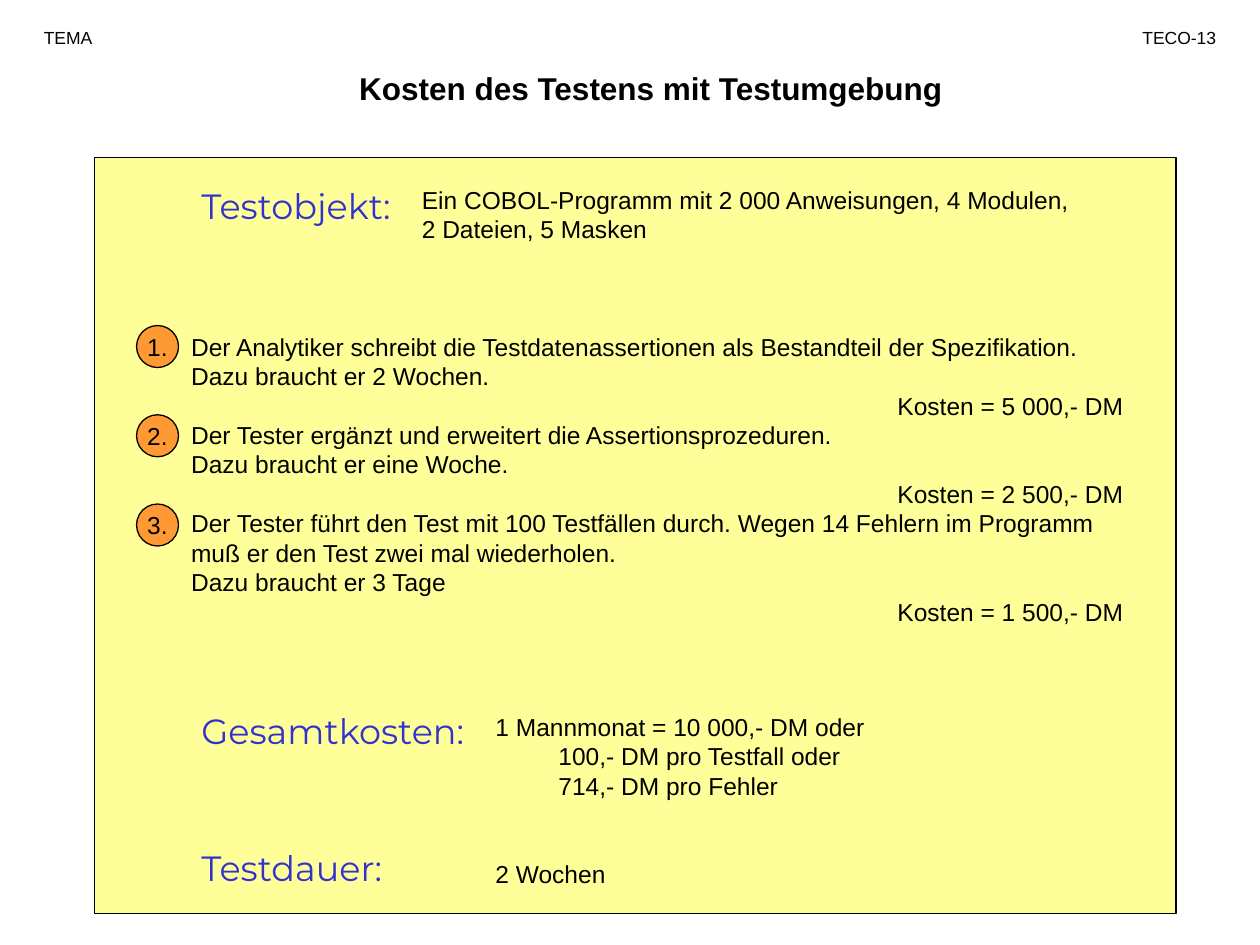
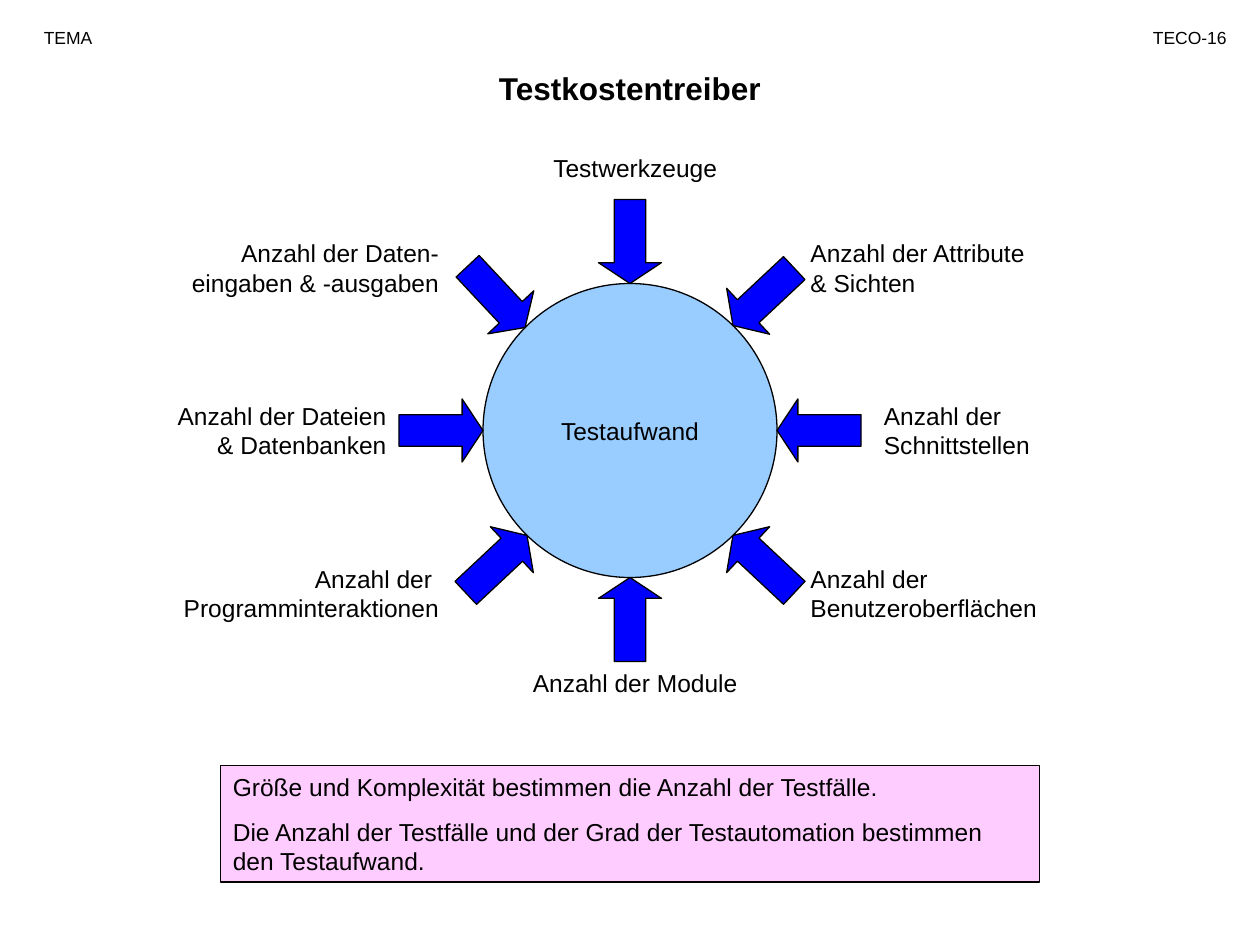
from math import cos, radians, sin

from lxml import etree
from pptx import Presentation
from pptx.dml.color import RGBColor
from pptx.enum import shapes, text
from pptx.oxml import ns
from pptx import util as u

BLACK = RGBColor(0, 0, 0)
LABEL_BLUE = RGBColor(0x33, 0x33, 0xCC)
ARROW_BLUE = RGBColor(0, 0, 0xFF)
SKY = RGBColor(0x99, 0xCC, 0xFF)
YELLOW = RGBColor(0xFF, 0xFF, 0x99)
ORANGE = RGBColor(0xFF, 0x99, 0x33)
PINK = RGBColor(0xFF, 0xCC, 0xFF)

WIDTH, HEIGHT = u.Inches(10), u.Inches(7.5)
COLUMNS, ROWS = 120, 90
TITLE_ONLY, TITLE_AND_BODY = 5, 1
LEFT, CENTER, RIGHT = text.PP_ALIGN.LEFT, text.PP_ALIGN.CENTER, text.PP_ALIGN.RIGHT
TOP, MIDDLE = text.MSO_ANCHOR.TOP, text.MSO_ANCHOR.MIDDLE

STEPS = [
    (["Der Analytiker schreibt die Testdatenassertionen als Bestandteil der Spezifikation.",
      "Dazu braucht er 2 Wochen."], "Kosten = 5 000,- DM"),
    (["Der Tester ergänzt und erweitert die Assertionsprozeduren.",
      "Dazu braucht er eine Woche."], "Kosten = 2 500,- DM"),
    (["Der Tester führt den Test mit 100 Testfällen durch. Wegen 14 Fehlern im Programm",
      "muß er den Test zwei mal wiederholen.",
      "Dazu braucht er 3 Tage"], "Kosten = 1 500,- DM"),
]

# Clockwise from the top: arrow tilt in degrees, label lines, label box, alignment
DRIVERS = [
    (0, ["Testwerkzeuge"], (47, 14, 27, 4), CENTER),
    (1.9, ["Anzahl der Attribute", "& Sichten"], (76, 22, 27, 7), LEFT),
    (0, ["Anzahl der", "Schnittstellen"], (83, 37.5, 27, 7), LEFT),
    (-1.9, ["Anzahl der", "Benutzeroberflächen"], (76, 53, 27, 7), LEFT),
    (0, ["Anzahl der Module"], (47, 63, 27, 4), CENTER),
    (1.9, ["Anzahl der ", "Programminteraktionen"], (16, 53, 27, 7), RIGHT),
    (0, ["Anzahl der Dateien", "& Datenbanken"], (7, 37.5, 31, 7), RIGHT),
    (1.9, ["Anzahl der Daten-", "eingaben & -ausgaben"], (16, 22, 27, 7), RIGHT),
]


def grid(left, top, width, height):
    """Turn columns and rows into lengths."""
    col, row = WIDTH / COLUMNS, HEIGHT / ROWS
    return [u.Emu(round(n)) for n in (left * col, top * row, width * col, height * row)]


def place(sp, box):
    sp.left, sp.top, sp.width, sp.height = grid(*box)


def prepare_frame(sp, anchor=TOP, wrap=True):
    tf = sp.text_frame
    tf.auto_size = text.MSO_AUTO_SIZE.NONE
    tf.word_wrap = wrap
    tf.vertical_anchor = anchor
    return tf


def add_paragraph(tf, lines, size=14, align=LEFT, before=0, font="Arial",
                  color=BLACK, bold=False, tab=None):
    p = tf.paragraphs[0]
    if p.runs:
        p = tf.add_paragraph()
    pPr = p._p.get_or_add_pPr()
    pPr.set("marL", "0")
    pPr.set("indent", "0")
    etree.SubElement(pPr, ns.qn("a:buNone"))
    if tab:
        tabs = etree.SubElement(pPr, ns.qn("a:tabLst"))
        etree.SubElement(tabs, ns.qn("a:tab"), pos=str(tab), algn="l")
    p.alignment = align
    p.space_before = u.Pt(before)
    for i, line in enumerate(lines):
        if i:
            p.add_line_break()
        r = p.add_run()
        r.text = line
        r.font.size, r.font.name, r.font.bold = u.Pt(size), font, bold
        r.font.color.rgb = color


def add_text(slide, box, lines, anchor=TOP, wrap=True, **style):
    sp = slide.shapes.add_textbox(*grid(*box))
    tf = prepare_frame(sp, anchor, wrap)
    add_paragraph(tf, lines, **style)
    return tf


def add_figure(slide, kind, box, fill):
    sp = slide.shapes.add_shape(kind, *grid(*box))
    sp.shadow.inherit = False
    sp.fill.solid()
    sp.fill.fore_color.rgb = fill
    sp.line.color.rgb = BLACK
    sp.line.width = u.Pt(0.75)
    return sp


def add_disc(slide, box, fill, caption):
    sp = add_figure(slide, shapes.MSO_SHAPE.OVAL, box, fill)
    add_paragraph(prepare_frame(sp, MIDDLE, wrap=False), [caption], align=CENTER)


def add_heading(slide, top, caption):
    add_text(slide, (18, top, 30, 4.5), [caption], wrap=False, size=20,
             font="Montserrat", color=LABEL_BLUE)


def add_page(prs, layout, title, title_box, number, number_left):
    slide = prs.slides.add_slide(prs.slide_layouts[layout])
    place(slide.shapes.title, title_box)
    add_paragraph(prepare_frame(slide.shapes.title), [title], size=18, align=CENTER, bold=True)
    add_text(slide, (3, 2, 11, 3.25), ["TEMA"], size=10)
    add_text(slide, (number_left, 2, 13, 3.25), [number], size=10, align=RIGHT)
    return slide


def build_costs(prs):
    slide = add_page(prs, TITLE_AND_BODY, "Kosten des Testens mit Testumgebung",
                     (26, 6, 72, 4.75), "TECO-13", 104)
    panel = add_figure(slide, shapes.MSO_SHAPE.RECTANGLE, (9, 15, 103, 72), YELLOW)
    slide.shapes._spTree.insert(2, panel._element)

    body = slide.placeholders[1]
    place(body, (17, 31, 91.2, 32))
    tf = prepare_frame(body)
    for i, (lines, cost) in enumerate(STEPS):
        add_paragraph(tf, lines)
        add_paragraph(tf, [cost], align=RIGHT)
        add_disc(slide, (13, 31 + 8.5 * i, 4, 4), ORANGE, f"{i + 1}.")

    add_heading(slide, 17, "Testobjekt:")
    add_text(slide, (39, 17, 66, 7),
             ["Ein COBOL-Programm mit 2 000 Anweisungen, 4 Modulen,", "2 Dateien, 5 Masken"])
    add_heading(slide, 67, "Gesamtkosten:")
    tf = add_text(slide, (46, 67.2, 57, 18), [
        "1 Mannmonat = 10 000,- DM oder",
        "\t100,- DM pro Testfall oder",
        "\t714,- DM pro Fehler"], tab=grid(20.1, 0, 0, 0)[0])
    add_heading(slide, 80, "Testdauer:")
    add_paragraph(tf, ["2 Wochen"], before=33.5)


def build_drivers(prs):
    slide = add_page(prs, TITLE_ONLY, "Testkostentreiber", (11, 6, 98, 4.75), "TECO-16", 105)
    mid_x, mid_y, radius = 60, 41, 14
    arrow_w, arrow_h = 6, 8
    add_disc(slide, (mid_x - radius, mid_y - radius, 2 * radius, 2 * radius), SKY, "Testaufwand")
    reach = radius + arrow_h / 2
    for i, (tilt, lines, box, align) in enumerate(DRIVERS):
        angle = i * 360 / len(DRIVERS)
        x = mid_x + reach * sin(radians(angle))
        y = mid_y - reach * cos(radians(angle))
        arrow = add_figure(slide, shapes.MSO_SHAPE.DOWN_ARROW,
                           (x - arrow_w / 2, y - arrow_h / 2, arrow_w, arrow_h), ARROW_BLUE)
        arrow.adjustments[0], arrow.adjustments[1] = 0.5, 0.33
        arrow.rotation = angle + tilt
        add_text(slide, box, lines, anchor=MIDDLE, align=align)

    note = add_figure(slide, shapes.MSO_SHAPE.RECTANGLE, (21, 72.9, 78, 11.1), PINK)
    tf = prepare_frame(note, MIDDLE)
    add_paragraph(tf, ["Größe und Komplexität bestimmen die Anzahl der Testfälle."])
    add_paragraph(tf, ["Die Anzahl der Testfälle und der Grad der Testautomation bestimmen "
                       "den Testaufwand."], before=8.8)


def main():
    prs = Presentation()
    prs.slide_width, prs.slide_height = WIDTH, HEIGHT
    build_costs(prs)
    build_drivers(prs)
    prs.save("out.pptx")


if __name__ == "__main__":
    main()
